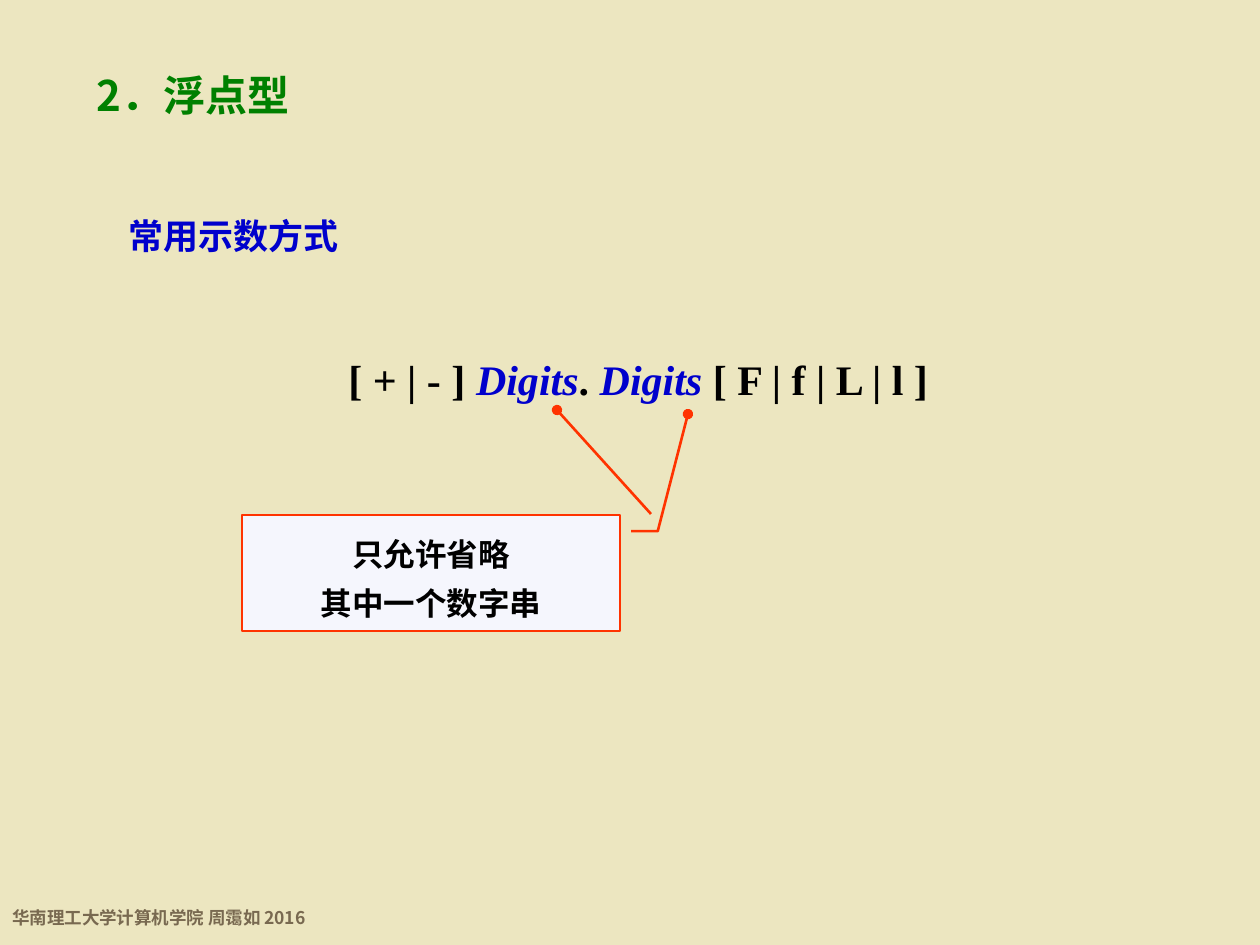
"""Build the slide on how floating-point literals are written."""
from lxml import etree
from pptx import Presentation
from pptx import util as u
from pptx.dml.color import RGBColor
from pptx.enum import shapes, text
from pptx.oxml.ns import qn

SANS, SERIF = "Noto Sans CJK SC", "Times New Roman"
BLACK, BLUE, RED = "000000", "0000CC", "FF3300"


def px(*lengths):
    return [u.Emu(round(length * 914400 / 126)) for length in lengths]


def write(paragraph, runs, size, font=SERIF, spacing=1.0, align=text.PP_ALIGN.LEFT):
    paragraph.alignment = align
    paragraph.line_spacing = spacing
    paragraph.font.size = u.Pt(size)
    paragraph.font.name = font
    paragraph.font.bold = True
    for words, color, italic in runs:
        run = paragraph.add_run()
        run.text = words
        run.font.color.rgb = RGBColor.from_string(color)
        run.font.italic = italic
        etree.SubElement(run.font._element, qn("a:ea"), typeface=SANS)


deck = Presentation()
deck.slide_width, deck.slide_height = px(1260, 945)
slide = deck.slides.add_slide(deck.slide_layouts[5])
slide.background.fill.solid()
slide.background.fill.fore_color.rgb = RGBColor.from_string("ECE6C0")

title = slide.shapes.title
title.left, title.top, title.width, title.height = px(84, 63, 1103, 63)
title.text_frame.auto_size = text.MSO_AUTO_SIZE.NONE
title.text_frame.vertical_anchor = text.MSO_ANCHOR.TOP
write(title.text_frame.paragraphs[0], [("2．浮点型", "008000", False)], 24, SANS)

syntax = [
    ("[ + | - ] ", BLACK, False),
    ("Digits", BLUE, True),
    (". ", BLACK, False),
    ("Digits", BLUE, True),
    (" [ F | f | L | l ]", BLACK, False),
]
labels = [
    ((0, 892, 326, 43), [("华南理工大学计算机学院 周霭如 2016", "786950", False)], 10, SANS, 1.4),
    ((336, 347, 609, 63), syntax, 24, SERIF, 1.0),
    ((116, 208, 236, 54), [("常用示数方式", BLUE, False)], 20, SERIF, 1.0),
]
for place, runs, size, font, spacing in labels:
    label = slide.shapes.add_textbox(*px(*place))
    label.text_frame.word_wrap = False
    write(label.text_frame.paragraphs[0], runs, size, font, spacing)

callout = slide.shapes.add_shape(shapes.MSO_SHAPE.LINE_CALLOUT_2, *px(242, 515, 378, 116))
for index, value in enumerate([0.14, 1.03, 0.14, 1.1, -0.87, 1.18]):
    callout.adjustments[index] = value
callout.shadow.inherit = False
callout.fill.solid()
callout.fill.fore_color.rgb = RGBColor.from_string("F5F6FD")
note = callout.text_frame
note.vertical_anchor = text.MSO_ANCHOR.MIDDLE
for paragraph, words in zip([note.paragraphs[0], note.add_paragraph()], ["只允许省略", "其中一个数字串"]):
    write(paragraph, [(words, BLACK, False)], 18, spacing=1.3, align=text.PP_ALIGN.CENTER)

pointer = slide.shapes.add_connector(shapes.MSO_CONNECTOR.STRAIGHT, *px(557, 410, 651, 514))
etree.SubElement(pointer._element.spPr, qn("a:effectLst"))

for outlined, end in [(callout, "a:tailEnd"), (pointer, "a:headEnd")]:
    outlined.line.color.rgb = RGBColor.from_string(RED)
    outlined.line.width = u.Pt(1.5)
    etree.SubElement(outlined.line._get_or_add_ln(), qn(end), type="oval")

deck.save("out.pptx")
